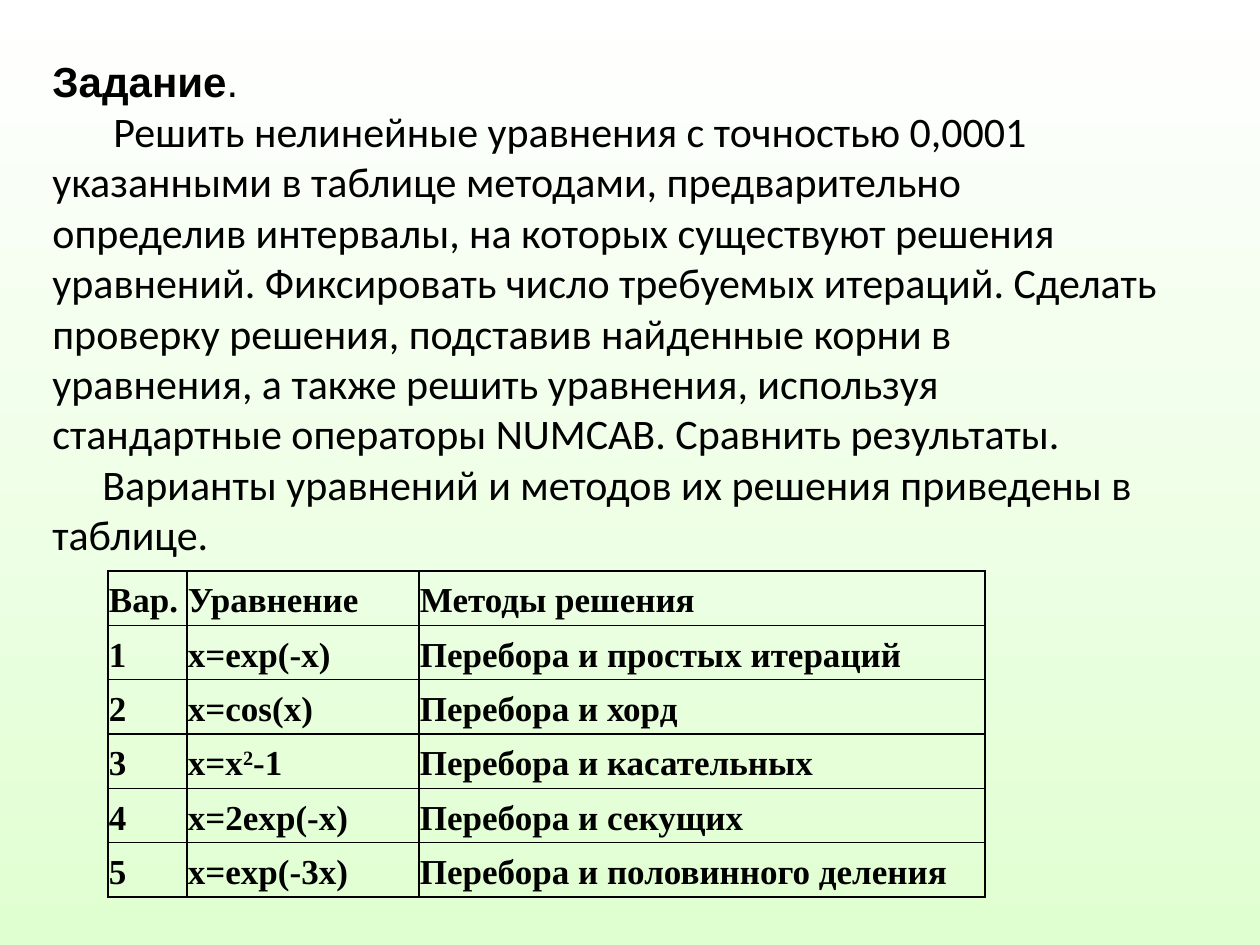
from dataclasses import dataclass

from lxml import etree
from pptx import Presentation
from pptx.dml.color import RGBColor
from pptx.enum.text import MSO_ANCHOR, PP_ALIGN
from pptx.oxml.ns import qn
from pptx.util import Emu, Pt

PX = 914400 / 126
MIDDLE, TOP = MSO_ANCHOR.MIDDLE, MSO_ANCHOR.TOP
LEFT = PP_ALIGN.LEFT
BLANK_LAYOUT = 6


@dataclass(frozen=True)
class Theme:
    ink: str = "000000"
    background_top: str = "FFFFFF"
    background_bottom: str = "E0FFD1"
    heading_font: str = "Arial"
    body_font: str = "Calibri"
    table_font: str = "Times New Roman"
    body_size: int = 24
    table_size: int = 20
    border_width: int = 1


def px(length):
    return Emu(round(length * PX))


class SlideBuilder:
    def __init__(self, slide, theme):
        self.slide = slide
        self.theme = theme

    def background(self):
        fill = self.slide.background.fill
        fill.gradient()
        fill.gradient_angle = 270
        colors = (self.theme.background_top, self.theme.background_bottom)
        for stop, color in zip(fill.gradient_stops, colors):
            stop.color.rgb = RGBColor.from_string(color)

    def style_run(self, run, font, size, bold=False):
        run.font.name = font
        run.font.size = Pt(size)
        run.font.bold = bold
        run.font.color.rgb = RGBColor.from_string(self.theme.ink)

    def text_box(self, left, top, width, height, paragraphs):
        """Each paragraph is (first-line indent, [(text, font, bold), ...])."""
        box = self.slide.shapes.add_textbox(px(left), px(top), px(width), px(height))
        frame = box.text_frame
        frame.word_wrap = True
        frame.vertical_anchor = TOP
        for index, (indent, pieces) in enumerate(paragraphs):
            paragraph = frame.add_paragraph() if index else frame.paragraphs[0]
            paragraph.alignment = LEFT
            paragraph._p.get_or_add_pPr().set("indent", str(px(indent)))
            for text, font, bold in pieces:
                run = paragraph.add_run()
                run.text = text
                self.style_run(run, font, self.theme.body_size, bold)

    def table(self, left, top, column_widths, height, rows):
        frame = self.slide.shapes.add_table(
            len(rows), len(column_widths), px(left), px(top),
            px(sum(column_widths)), px(height))
        table = frame.table
        table.first_row = table.horz_banding = False
        for column, width in zip(table.columns, column_widths):
            column.width = px(width)
        for row, values in zip(table.rows, rows):
            row.height = px(height / len(rows))
            for cell, value in zip(row.cells, values):
                self.table_cell(cell, value)

    def table_cell(self, cell, value):
        """A ^ on each side marks a superscript."""
        cell.vertical_anchor = MIDDLE
        cell.margin_left = cell.margin_right = px(1)
        cell.margin_top = cell.margin_bottom = px(1)
        cell.fill.background()
        self.cell_borders(cell)
        paragraph = cell.text_frame.paragraphs[0]
        paragraph.alignment = LEFT
        paragraph.line_spacing = 1.15
        paragraph.space_after = Pt(10)
        for index, text in enumerate(value.split("^")):
            run = paragraph.add_run()
            run.text = text
            self.style_run(run, self.theme.table_font, self.theme.table_size, True)
            if index % 2:
                run.font._element.set("baseline", "30000")

    def cell_borders(self, cell):
        properties = cell._tc.get_or_add_tcPr()
        for position, side in enumerate(("a:lnL", "a:lnR", "a:lnT", "a:lnB")):
            line = etree.Element(qn(side), w=str(Pt(self.theme.border_width)))
            fill = etree.SubElement(line, qn("a:solidFill"))
            etree.SubElement(fill, qn("a:srgbClr"), val=self.theme.ink)
            properties.insert(position, line)


def main():
    presentation = Presentation()
    presentation.slide_width, presentation.slide_height = px(1260), px(945)
    slide = presentation.slides.add_slide(presentation.slide_layouts[BLANK_LAYOUT])
    theme = Theme()
    builder = SlideBuilder(slide, theme)
    builder.background()

    # Assignment text
    assignment = (
        "Решить нелинейные уравнения с точностью 0,0001 указанными в таблице "
        "методами, предварительно определив интервалы, на которых существуют "
        "решения уравнений. Фиксировать число требуемых итераций. Сделать "
        "проверку решения, подставив найденные корни в уравнения, а также решить "
        "уравнения, используя стандартные операторы NUMCAB. Сравнить результаты.")
    variants = "Варианты уравнений и методов их решения приведены в таблице."
    builder.text_box(40, 49, 1130, 847, [
        (0, [("Задание", theme.heading_font, True), (".", theme.heading_font, False)]),
        (61, [(assignment, theme.body_font, False)]),
        (50, [(variants, theme.body_font, False)]),
    ])

    # Variants of equations and methods
    builder.table(108, 571, (79, 232, 566), 326, [
        ("Вар.", "Уравнение", "Методы решения"),
        ("1", "x=exp(-x)", "Перебора и простых итераций"),
        ("2", "x=cos(x)", "Перебора и хорд"),
        ("3", "х=x^2^-1", "Перебора и касательных"),
        ("4", "x=2exp(-x)", "Перебора и секущих"),
        ("5", "x=exp(-3x)", "Перебора и половинного деления"),
    ])

    presentation.save("out.pptx")


if __name__ == "__main__":
    main()
